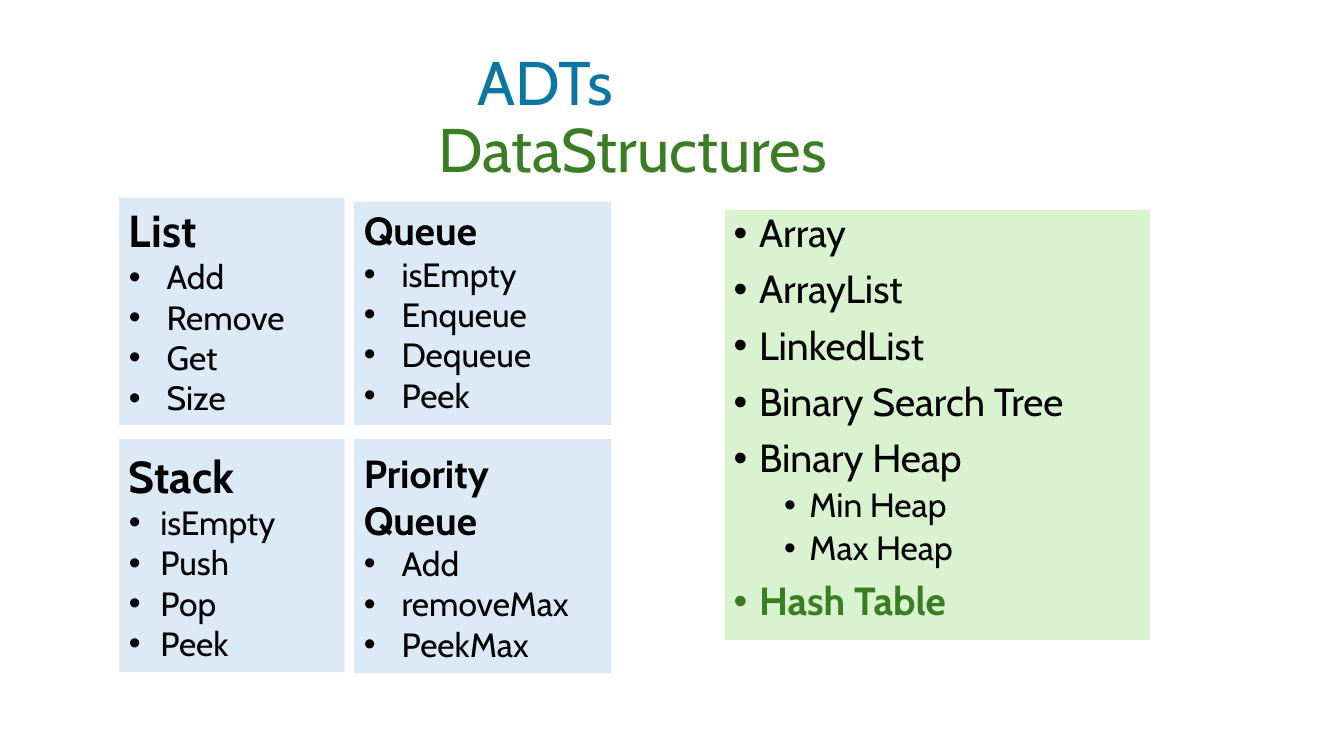
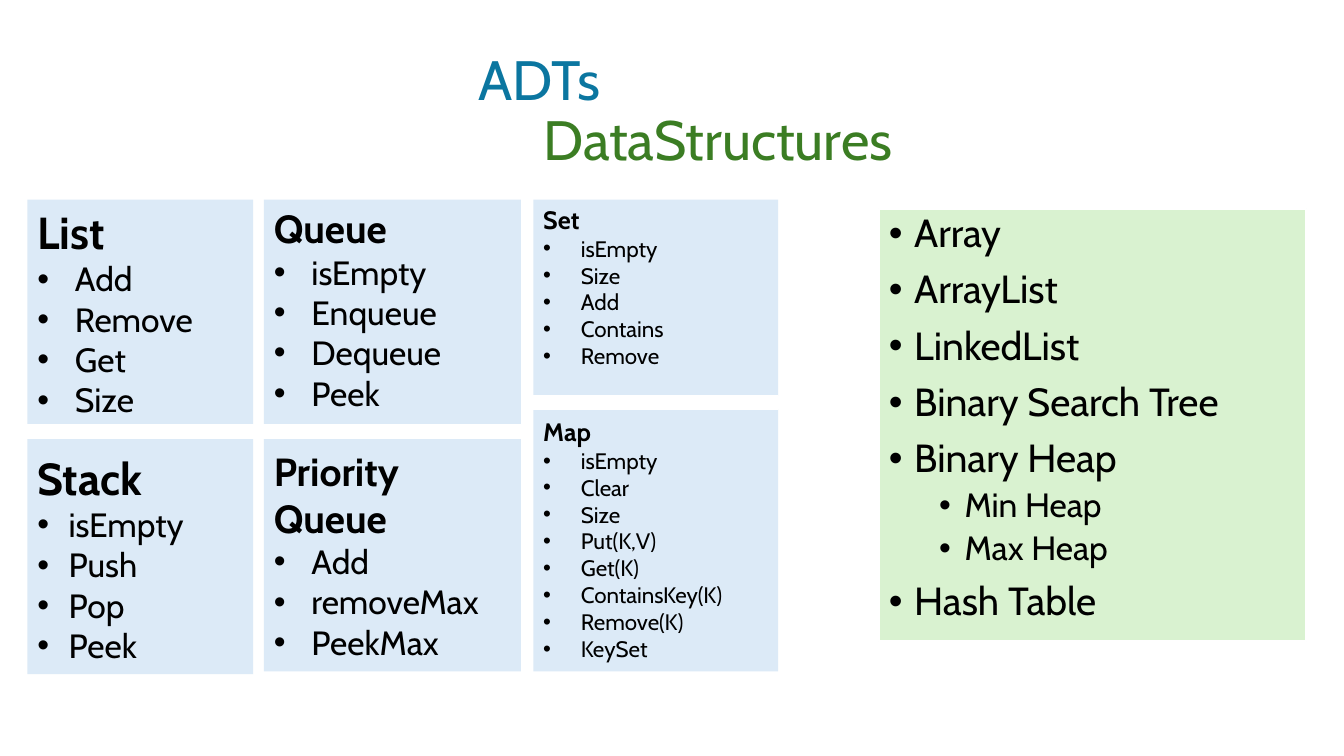
from dataclasses import dataclass

import pptx
import pptx.dml.color
import pptx.enum.shapes
import pptx.enum.text
import pptx.oxml.ns
import pptx.util
from lxml import etree

Cm = pptx.util.Cm
Pt = pptx.util.Pt
RGBColor = pptx.dml.color.RGBColor

FONT = "Cabin"
BLACK = RGBColor(0x00, 0x00, 0x00)
WHITE = RGBColor(0xFF, 0xFF, 0xFF)
ADT_BLUE = RGBColor(0x0B, 0x76, 0xA0)
STRUCTURE_GREEN = RGBColor(0x3B, 0x7D, 0x23)
PALE_BLUE = RGBColor(0xDC, 0xEA, 0xF7)
PALE_GREEN = RGBColor(0xD9, 0xF2, 0xD0)


@dataclass(frozen=True)
class Box:
    left: float
    top: float
    width: float
    height: float


@dataclass(frozen=True)
class Adt:
    name: str
    operations: tuple[str, ...]
    indent: float = 0.95


@dataclass(frozen=True)
class AdtColumn:
    adts: tuple[Adt, ...]
    heading_size: float
    operation_size: float
    gap: float


@dataclass(frozen=True)
class Structure:
    name: str
    nested: bool = False


@dataclass(frozen=True)
class Title:
    box: Box
    size: float
    adts_indent: float
    structures_indent: float


@dataclass(frozen=True)
class Overview:
    title: Title
    structures_left: float
    highlighted: str
    columns: tuple[tuple[AdtColumn, Box], ...]
    dividers: tuple[Box, ...]


LIST_AND_STACK = AdtColumn(
    (Adt("List", ("Add", "Remove", "Get", "Size")),
     Adt("Stack", ("isEmpty", "Push", "Pop", "Peek"), 0.79)),
    32, 24, 21.9)
QUEUES = AdtColumn(
    (Adt("Queue", ("isEmpty", "Enqueue", "Dequeue", "Peek")),
     Adt("Priority Queue", ("Add", "removeMax", "PeekMax"))),
    28, 24, 24.3)
SET_AND_MAP = AdtColumn(
    (Adt("Set", ("isEmpty", "Size", "Add", "Contains", "Remove")),
     Adt("Map", ("isEmpty", "Clear", "Size", "Put(K,V)", "Get(K)",
                 "ContainsKey(K)", "Remove(K)", "KeySet"))),
    18, 16, 34)

STRUCTURES = (
    Structure("Array"),
    Structure("ArrayList"),
    Structure("LinkedList"),
    Structure("Binary Search Tree"),
    Structure("Binary Heap"),
    Structure("Min Heap", nested=True),
    Structure("Max Heap", nested=True),
    Structure("Hash Table"),
)

OVERVIEWS = (
    Overview(
        Title(Box(3, 0.28, 26.04, 4.4), 44, 8.78, 7.8),
        18.24, "Hash Table",
        ((QUEUES, Box(8.92, 5.08, 6.48, 11.89)),
         (LIST_AND_STACK, Box(3, 4.98, 5.69, 11.96))),
        (Box(1.78, 10.74, 15.16, 0.3),)),
    Overview(
        Title(Box(4.06, 0.28, 28.47, 4.4), 39.6, 7.75, 9.38),
        22.15, "",
        ((QUEUES, Box(6.65, 5.03, 6.48, 11.89)),
         (LIST_AND_STACK, Box(0.69, 5.03, 5.69, 11.96)),
         (SET_AND_MAP, Box(13.44, 5.03, 6.17, 11.89))),
        (Box(0, 10.72, 13.13, 0.33), Box(13.44, 9.98, 6.17, 0.33))),
)


def place(box: Box) -> tuple:
    return Cm(box.left), Cm(box.top), Cm(box.width), Cm(box.height)


def add_panel(slide, box: Box, fill: RGBColor, outlined: bool = False):
    panel = slide.shapes.add_shape(
        pptx.enum.shapes.MSO_SHAPE.RECTANGLE, *place(box))
    panel.shadow.inherit = False
    panel.fill.solid()
    panel.fill.fore_color.rgb = fill
    if outlined:
        panel.line.color.rgb = WHITE
        panel.line.width = Pt(1.5)
    else:
        panel.line.fill.background()
    panel.text_frame.word_wrap = True
    panel.text_frame.vertical_anchor = pptx.enum.text.MSO_ANCHOR.TOP
    return panel


def add_line(frame, text: str, size: float, color: RGBColor = BLACK,
             bold: bool = False, indent: float = 0, hanging: float = 0,
             space_before: float = 0, line_spacing: float = 1) -> None:
    first = not frame.paragraphs[0].runs
    paragraph = frame.paragraphs[0] if first else frame.add_paragraph()
    paragraph.add_run().text = text
    properties = paragraph._p.get_or_add_pPr()
    properties.set("marL", str(Cm(indent)))
    properties.set("indent", str(-Cm(hanging)))
    if hanging:
        qn = pptx.oxml.ns.qn
        etree.SubElement(properties, qn("a:buFont"), typeface="Arial")
        etree.SubElement(properties, qn("a:buChar"), char="•")
    paragraph.alignment = pptx.enum.text.PP_ALIGN.LEFT
    paragraph.line_spacing = line_spacing
    paragraph.space_before = Pt(0 if first else space_before)
    paragraph.font.name = FONT
    paragraph.font.size = Pt(size)
    paragraph.font.bold = bold
    paragraph.font.color.rgb = color


def add_title(slide, title: Title) -> None:
    frame = slide.shapes.add_textbox(*place(title.box)).text_frame
    frame.word_wrap = True
    frame.margin_top = Cm(1.04)
    for text, color, indent in (
            ("ADTs", ADT_BLUE, title.adts_indent),
            ("DataStructures", STRUCTURE_GREEN, title.structures_indent)):
        add_line(frame, text, title.size, color, indent=indent,
                 line_spacing=0.9)


def add_structures(slide, left: float, highlighted: str) -> None:
    box = Box(left, 5.26, 10.77, 10.9)
    frame = add_panel(slide, box, PALE_GREEN, outlined=True).text_frame
    for structure in STRUCTURES:
        marked = structure.name == highlighted
        add_line(frame, structure.name,
                 size=24 if structure.nested else 28,
                 color=STRUCTURE_GREEN if marked else BLACK,
                 bold=marked,
                 indent=1.91 if structure.nested else 0.64,
                 hanging=0.64,
                 space_before=5 if structure.nested else 10,
                 line_spacing=0.9)


def add_adt_column(slide, column: AdtColumn, box: Box) -> None:
    frame = add_panel(slide, box, PALE_BLUE).text_frame
    for adt in column.adts:
        add_line(frame, adt.name, column.heading_size, bold=True,
                 space_before=column.gap)
        for operation in adt.operations:
            add_line(frame, operation, column.operation_size,
                     indent=adt.indent, hanging=adt.indent)


def add_overview(deck, overview: Overview) -> None:
    slide = deck.slides.add_slide(deck.slide_layouts[6])
    add_title(slide, overview.title)
    add_structures(slide, overview.structures_left, overview.highlighted)
    for column, box in overview.columns:
        add_adt_column(slide, column, box)
    for divider in overview.dividers:
        add_panel(slide, divider, WHITE, outlined=True)


def main() -> None:
    deck = pptx.Presentation()
    deck.slide_width = Cm(33.87)
    deck.slide_height = Cm(19.05)
    for overview in OVERVIEWS:
        add_overview(deck, overview)
    deck.save("out.pptx")


if __name__ == "__main__":
    main()
